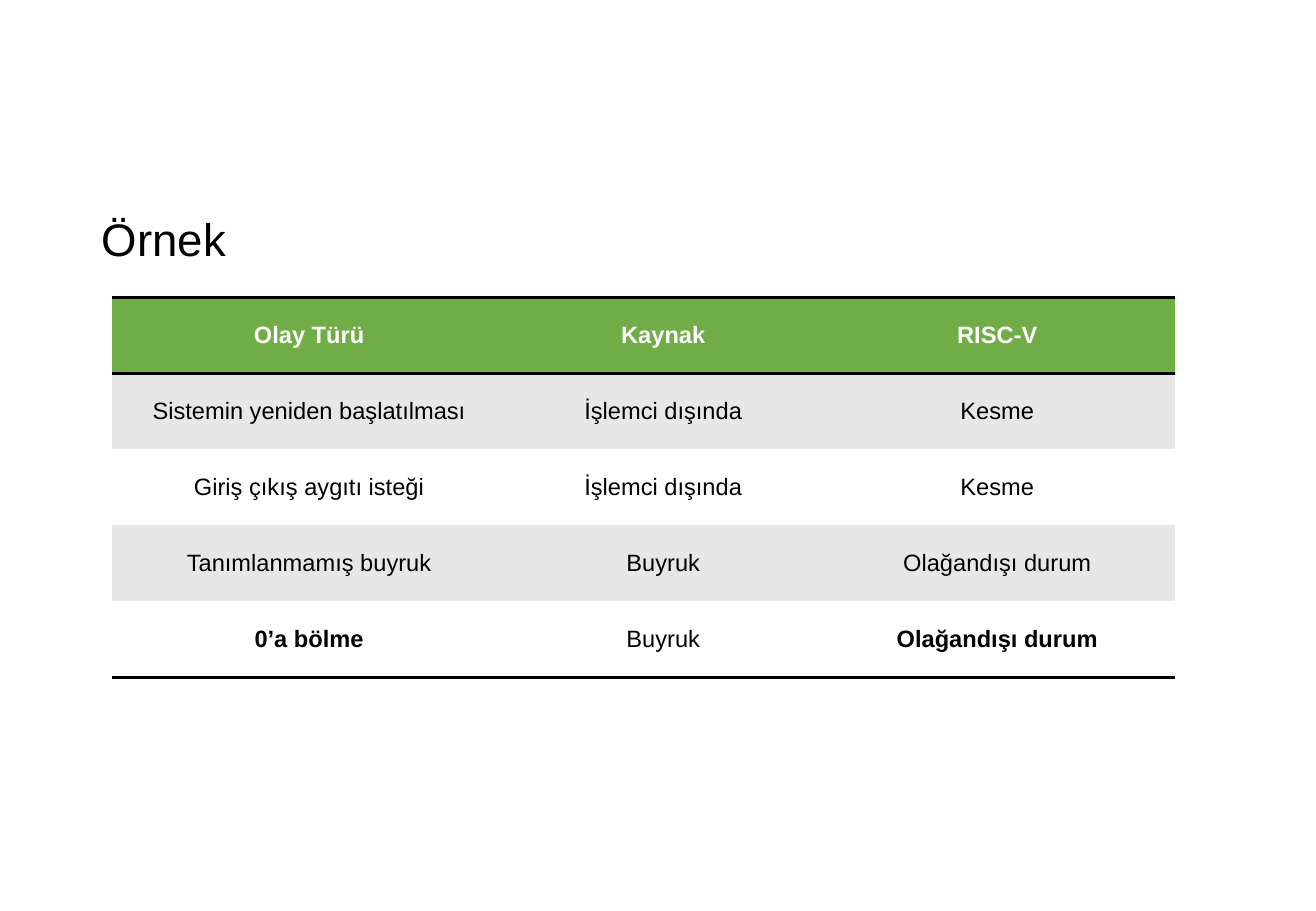
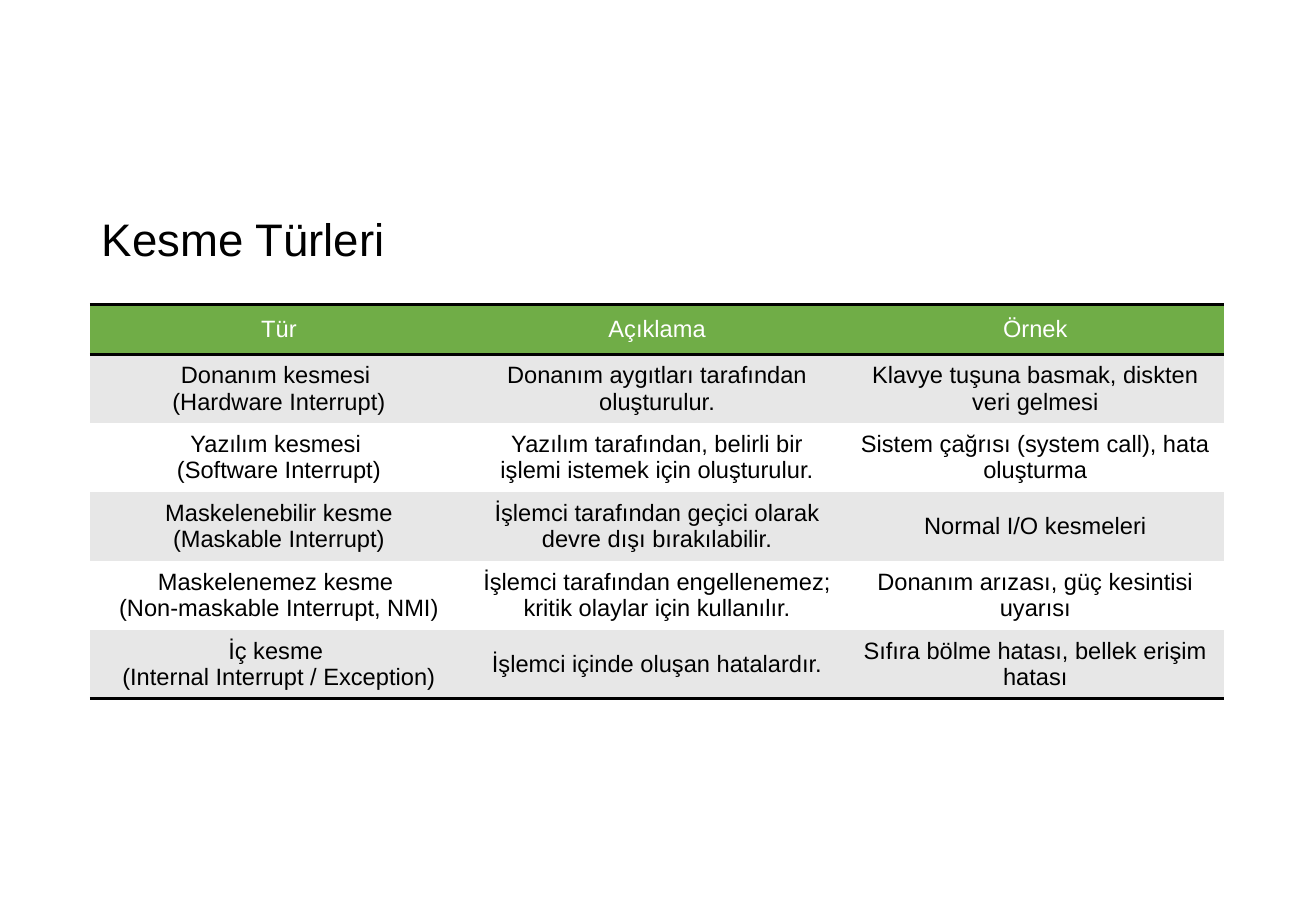
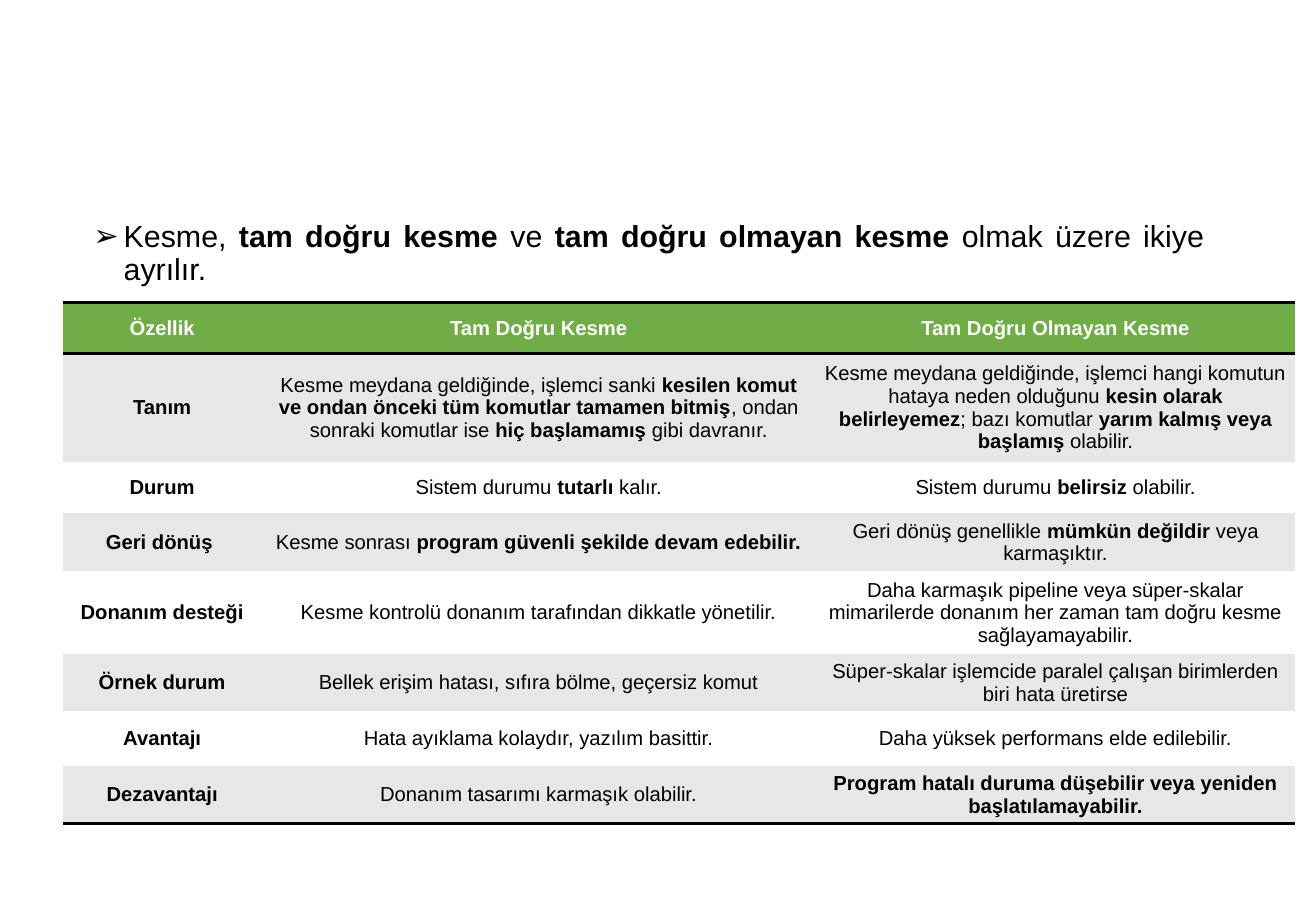
from dataclasses import dataclass

from lxml import etree
from pptx import Presentation
from pptx.dml.color import RGBColor
from pptx.enum.text import MSO_ANCHOR, PP_ALIGN
from pptx.oxml.ns import qn
from pptx.slide import Slide
from pptx.table import _Cell
from pptx.text.text import TextFrame, _Paragraph
from pptx.util import Pt

CENTER, JUSTIFY, LEFT = PP_ALIGN.CENTER, PP_ALIGN.JUSTIFY, PP_ALIGN.LEFT
MIDDLE, TOP = MSO_ANCHOR.MIDDLE, MSO_ANCHOR.TOP

COLORS = {
    "text": "000000",
    "header_text": "FFFFFF",
    "header": "70AD47",
    "odd_row": "E7E7E7",
    "even_row": "FFFFFF",
    "rule": "000000",
}
FONT = "Arial"
RULE_WIDTH = 2
BOLD_MARK = "**"
BLANK_LAYOUT = 6


@dataclass(frozen=True)
class Box:
    left: float
    top: float
    width: float
    height: float


@dataclass(frozen=True)
class TableSpec:
    left: float
    top: float
    columns: list[float]
    heights: list[float]
    rows: list[list[str]]
    size: float = 14
    bold_header: bool = True
    bold_first_column: bool = False
    margin_x: float = 7.2
    margin_y: float = 3.6


TITLE_BOX = Box(53.28, 119.52, 672.48, 47.52)
INTRO_BOX = Box(48.24, 127.44, 672.48, 42.48)

EVENTS = TableSpec(
    left=66.24, top=176.4, columns=[234, 185.76, 210.24], heights=[45] * 5,
    rows=[
        ["Olay Türü", "Kaynak", "RISC-V"],
        ["Sistemin yeniden başlatılması", "İşlemci dışında", "Kesme"],
        ["Giriş çıkış aygıtı isteği", "İşlemci dışında", "Kesme"],
        ["Tanımlanmamış buyruk", "Buyruk", "Olağandışı durum"],
        ["**0’a bölme**", "Buyruk", "**Olağandışı durum**"],
    ],
)

INTERRUPT_TYPES = TableSpec(
    left=53.28, top=180.72, columns=[224.16] * 3, heights=[29.2] + [38.7] * 5,
    bold_header=False,
    rows=[
        ["Tür", "Açıklama", "Örnek"],
        ["Donanım kesmesi \n(Hardware Interrupt)",
         "Donanım aygıtları tarafından oluşturulur.",
         "Klavye tuşuna basmak, diskten veri gelmesi"],
        ["Yazılım kesmesi \n(Software Interrupt)",
         "Yazılım tarafından, belirli bir işlemi istemek için oluşturulur.",
         "Sistem çağrısı (system call), hata oluşturma"],
        ["Maskelenebilir kesme\n(Maskable Interrupt)",
         "İşlemci tarafından geçici olarak devre dışı bırakılabilir.",
         "Normal I/O kesmeleri"],
        ["Maskelenemez kesme \n(Non-maskable Interrupt, NMI)",
         "İşlemci tarafından engellenemez; kritik olaylar için kullanılır.",
         "Donanım arızası, güç kesintisi uyarısı"],
        ["İç kesme \n(Internal Interrupt / Exception)",
         "İşlemci içinde oluşan hatalardır.",
         "Sıfıra bölme hatası, bellek erişim hatası"],
    ],
)

PRECISION = TableSpec(
    left=37.44, top=179.28, columns=[117.36, 329.04, 283.68],
    heights=[30.2, 64.6, 30.2, 34.4, 49.2, 33.8, 32.6, 33.8],
    size=12, bold_first_column=True, margin_x=3.6, margin_y=2.16,
    rows=[
        ["Özellik", "Tam Doğru Kesme", "Tam Doğru Olmayan Kesme"],
        ["Tanım",
         "Kesme meydana geldiğinde, işlemci sanki **kesilen komut ve ondan önceki tüm "
         "komutlar tamamen bitmiş**, ondan sonraki komutlar ise **hiç başlamamış** gibi "
         "davranır.",
         "Kesme meydana geldiğinde, işlemci hangi komutun hataya neden olduğunu **kesin "
         "olarak belirleyemez**; bazı komutlar **yarım kalmış veya başlamış** olabilir."],
        ["Durum", "Sistem durumu **tutarlı **kalır.", "Sistem durumu **belirsiz **olabilir."],
        ["Geri dönüş ",
         "Kesme sonrası **program güvenli şekilde devam edebilir.**",
         "Geri dönüş genellikle **mümkün değildir** veya karmaşıktır."],
        ["Donanım desteği",
         "Kesme kontrolü donanım tarafından dikkatle yönetilir.",
         "Daha karmaşık pipeline veya süper-skalar mimarilerde donanım her zaman tam doğru "
         "kesme sağlayamayabilir."],
        ["Örnek durum",
         "Bellek erişim hatası, sıfıra bölme, geçersiz komut",
         "Süper-skalar işlemcide paralel çalışan birimlerden biri hata üretirse"],
        ["Avantajı",
         "Hata ayıklama kolaydır, yazılım basittir.",
         "Daha yüksek performans elde edilebilir."],
        ["Dezavantajı",
         "Donanım tasarımı karmaşık olabilir.",
         "**Program hatalı duruma düşebilir veya yeniden başlatılamayabilir.**"],
    ],
)

INTRO = ("Kesme, **tam doğru kesme **ve **tam doğru olmayan kesme **"
         "olmak üzere ikiye ayrılır.")


def add_bullet(paragraph: _Paragraph, char: str, indent: float) -> None:
    properties = paragraph._p.get_or_add_pPr()
    properties.set("marL", str(Pt(indent)))
    properties.set("indent", str(-Pt(indent)))
    etree.SubElement(properties, qn("a:buFont")).set("typeface", FONT)
    etree.SubElement(properties, qn("a:buChar")).set("char", char)


def write_text(frame: TextFrame, text: str, *, size: float, color: str = "text",
               bold: bool = False, align: PP_ALIGN = LEFT,
               line_spacing: float | None = None, bullet: str = "") -> None:
    """Write one paragraph per line; text between bold marks is bold."""
    for number, line in enumerate(text.split("\n")):
        paragraph = frame.add_paragraph() if number else frame.paragraphs[0]
        if bullet:
            add_bullet(paragraph, bullet, 18)
        paragraph.alignment = align
        if line_spacing:
            paragraph.line_spacing = line_spacing
        for part, words in enumerate(line.split(BOLD_MARK)):
            if not words:
                continue
            run = paragraph.add_run()
            run.text = words
            run.font.name = FONT
            run.font.size = Pt(size)
            run.font.bold = bold or part % 2 == 1
            run.font.color.rgb = RGBColor.from_string(COLORS[color])


def add_text_box(slide: Slide, box: Box, text: str, *, size: float,
                 anchor: MSO_ANCHOR = TOP, align: PP_ALIGN = LEFT, bullet: str = "") -> None:
    frame = slide.shapes.add_textbox(
        Pt(box.left), Pt(box.top), Pt(box.width), Pt(box.height)).text_frame
    frame.word_wrap = True
    frame.vertical_anchor = anchor
    write_text(frame, text, size=size, align=align, line_spacing=0.9, bullet=bullet)


def add_title(slide: Slide, text: str) -> None:
    add_text_box(slide, TITLE_BOX, text, size=27, anchor=MIDDLE)


def set_borders(cell: _Cell, *, top: bool, bottom: bool) -> None:
    properties = cell._tc.get_or_add_tcPr()
    for side, ruled in (("L", False), ("R", False), ("T", top), ("B", bottom)):
        line = etree.SubElement(properties, qn(f"a:ln{side}"))
        if ruled:
            line.set("w", str(Pt(RULE_WIDTH)))
            fill = etree.SubElement(line, qn("a:solidFill"))
            etree.SubElement(fill, qn("a:srgbClr")).set("val", COLORS["rule"])
        else:
            etree.SubElement(line, qn("a:noFill"))


def add_ruled_table(slide: Slide, spec: TableSpec) -> None:
    """Draw a table with a green header, striped rows and three horizontal rules."""
    table = slide.shapes.add_table(
        len(spec.rows), len(spec.columns), Pt(spec.left), Pt(spec.top),
        Pt(sum(spec.columns)), Pt(sum(spec.heights))).table
    table.horz_banding = False
    for column, width in zip(table.columns, spec.columns):
        column.width = Pt(width)
    for row, height in zip(table.rows, spec.heights):
        row.height = Pt(height)

    last = len(spec.rows) - 1
    for r, texts in enumerate(spec.rows):
        header = r == 0
        fill = "header" if header else "odd_row" if r % 2 else "even_row"
        for c, text in enumerate(texts):
            cell = table.cell(r, c)
            set_borders(cell, top=r <= 1, bottom=r in (0, last))
            cell.fill.solid()
            cell.fill.fore_color.rgb = RGBColor.from_string(COLORS[fill])
            cell.vertical_anchor = MIDDLE
            cell.margin_left = cell.margin_right = Pt(spec.margin_x)
            cell.margin_top = cell.margin_bottom = Pt(spec.margin_y)
            write_text(
                cell.text_frame, text, size=spec.size, align=CENTER,
                color="header_text" if header else "text",
                bold=spec.bold_header if header else spec.bold_first_column and c == 0)


def main() -> None:
    deck = Presentation()
    deck.slide_width, deck.slide_height = Pt(780), Pt(540)
    blank = deck.slide_layouts[BLANK_LAYOUT]

    for title, spec in (("Örnek", EVENTS), ("Kesme Türleri", INTERRUPT_TYPES)):
        slide = deck.slides.add_slide(blank)
        add_title(slide, title)
        add_ruled_table(slide, spec)

    comparison = deck.slides.add_slide(blank)
    add_text_box(comparison, INTRO_BOX, INTRO, size=18, align=JUSTIFY, bullet="➢")
    add_ruled_table(comparison, PRECISION)

    deck.save("out.pptx")


if __name__ == "__main__":
    main()
